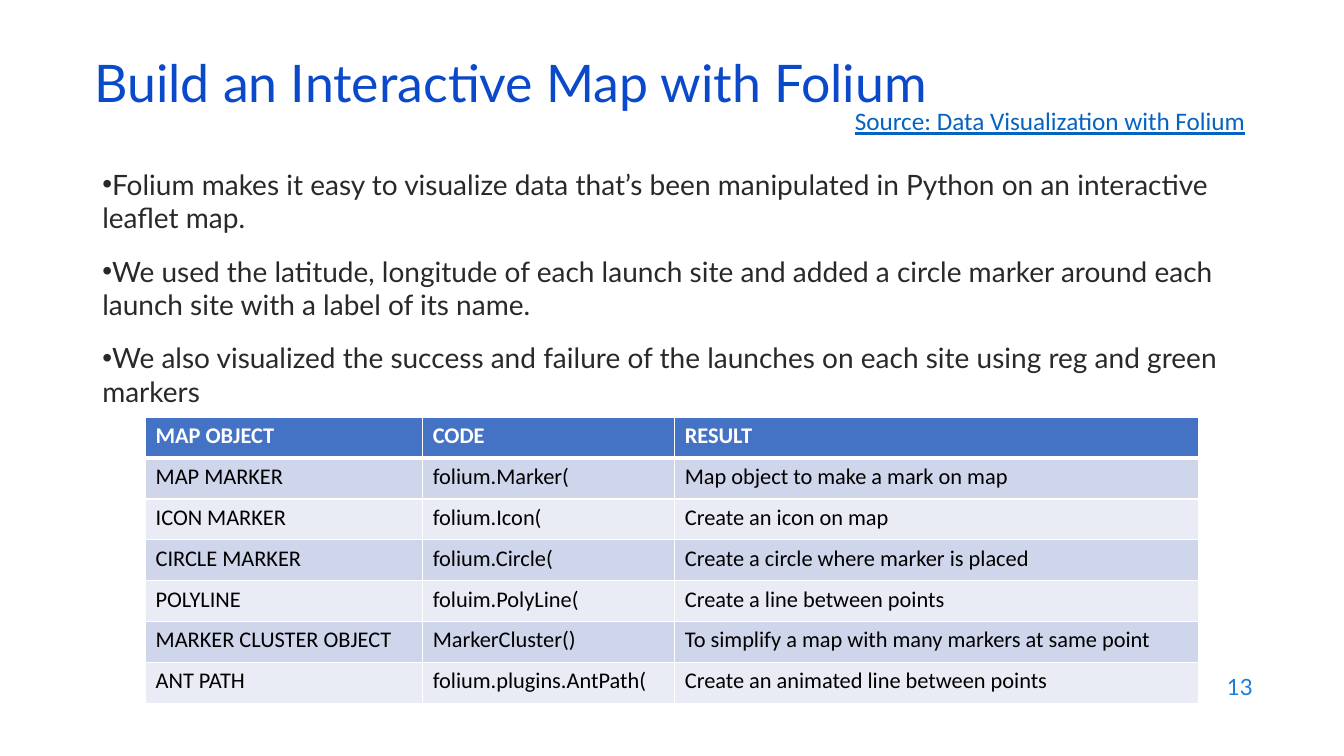
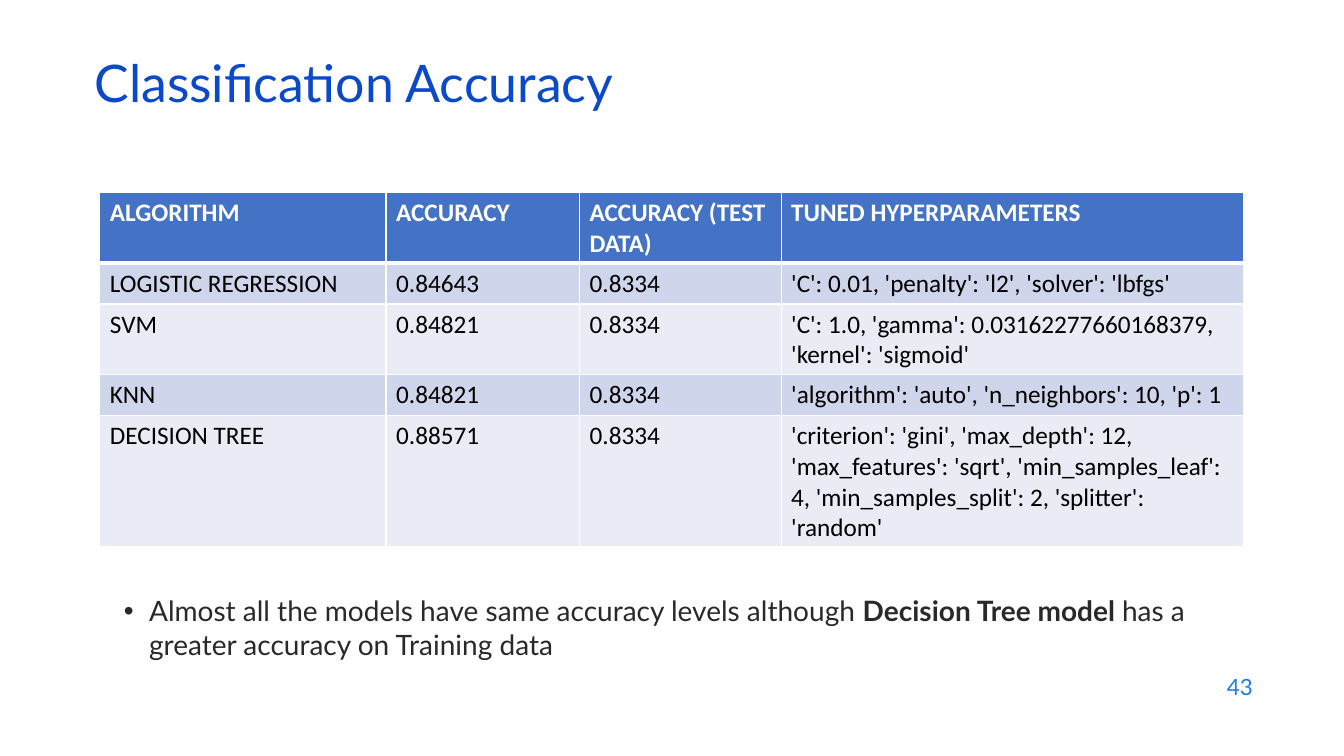
"""Build two slides about map objects and classification accuracy."""
from lxml.etree import SubElement
from pptx import Presentation
from pptx.dml.color import RGBColor as RGB
from pptx.enum.text import MSO_ANCHOR as ANCHOR, PP_ALIGN as ALIGN
from pptx.oxml.ns import qn
from pptx.util import Pt

COLORS = {
    "title": "0B49CB", "body": "292929", "link": "0563C1", "page": "1C7DDB",
    "header": "4472C4", "odd": "CFD5EA", "even": "E9EBF5",
    "white": "FFFFFF", "black": "000000",
}


def add_text(p, text, size=20, color="body", font="Lato", bold=False, underline=False):
    r = p.add_run()
    r.text = text
    r.font.size = Pt(size)
    r.font.name = font
    r.font.bold = bold
    r.font.underline = underline
    r.font.color.rgb = RGB.from_string(COLORS[color])


class Deck:
    def __init__(self):
        self.prs = Presentation()
        self.prs.slide_width, self.prs.slide_height = Pt(960), Pt(540)
        self.s = None

    def slide(self, title, number):
        self.s = self.prs.slides.add_slide(self.prs.slide_layouts[6])
        p = self.box(60.5, 42.5, 828, 43.2, ANCHOR.MIDDLE).paragraphs[0]
        p.line_spacing = 0.7
        add_text(p, title, size=37, color="title")
        p = self.box(686, 474.5, 216, 31.7, ANCHOR.MIDDLE).paragraphs[0]
        p.alignment = ALIGN.RIGHT
        add_text(p, str(number), size=16, color="page")

    def box(self, x, y, w, h, anchor=ANCHOR.TOP, wrap=True):
        tf = self.s.shapes.add_textbox(Pt(x), Pt(y), Pt(w), Pt(h)).text_frame
        tf.word_wrap = wrap
        tf.vertical_anchor = anchor
        return tf

    def label(self, text, x, y, w, h):
        p = self.box(x, y, w, h, wrap=False).paragraphs[0]
        add_text(p, text, size=18, color="link", font="Calibri", underline=True)

    def bullets(self, items, x, y, w, h, hang=0):
        tf = self.box(x, y, w, h)
        for i, runs in enumerate(items):
            p = tf.add_paragraph() if i else tf.paragraphs[0]
            pPr = p._p.get_or_add_pPr()
            pPr.set("marL", str(Pt(hang)))
            pPr.set("indent", str(-Pt(hang)))
            SubElement(pPr, qn("a:buFont"), typeface="Arial")
            SubElement(pPr, qn("a:buChar"), char="•")
            p.space_before = Pt(14 if i else 0)
            for text, bold in runs:
                add_text(p, text, bold=bold)

    def borders(self, cell, top, bottom):
        tcPr = cell._tc.get_or_add_tcPr()
        for side, width in (("L", 1), ("R", 1), ("T", top), ("B", bottom)):
            ln = SubElement(tcPr, qn(f"a:ln{side}"), w=str(Pt(width)))
            fill = SubElement(ln, qn("a:solidFill"))
            SubElement(fill, qn("a:srgbClr"), val=COLORS["white"])

    def table(self, rows, x, y, widths, size, row_height=29.2):
        frame = self.s.shapes.add_table(
            len(rows), len(widths), Pt(x), Pt(y), Pt(sum(widths)), Pt(row_height * len(rows)))
        table = frame.table
        for column, width in zip(table.columns, widths):
            column.width = Pt(width)
        for i, row in enumerate(rows):
            table.rows[i].height = Pt(row_height)
            fill = "header" if i == 0 else "odd" if i % 2 else "even"
            for j, text in enumerate(row):
                cell = table.cell(i, j)
                self.borders(cell, 3 if i == 1 else 1, 3 if i == 0 else 1)
                cell.fill.solid()
                cell.fill.fore_color.rgb = RGB.from_string(COLORS[fill])
                add_text(cell.text_frame.paragraphs[0], text, size=size, font="Calibri",
                         color="black" if i else "white", bold=i == 0)


def main():
    deck = Deck()

    deck.slide("Build an Interactive Map with Folium", 13)
    deck.bullets([
        [("Folium makes it easy to visualize data that’s been manipulated in Python "
          "on an interactive leaflet map.", False)],
        [("We used the latitude, longitude of each launch site and added a circle marker "
          "around each launch site with a label of its name.", False)],
        [("We also visualized the success and failure of the launches on each site "
          "using reg and green markers", False)],
    ], 66, 116, 828, 342.7)
    deck.table([
        ("MAP OBJECT", "CODE", "RESULT"),
        ("MAP MARKER", "folium.Marker(", "Map object to make a mark on map"),
        ("ICON MARKER", "folium.Icon(", "Create an icon on map"),
        ("CIRCLE MARKER", "folium.Circle(", "Create a circle where marker is placed"),
        ("POLYLINE", "foluim.PolyLine(", "Create a line between points"),
        ("MARKER CLUSTER OBJECT", "MarkerCluster()",
         "To simplify a map with many markers at same point"),
        ("ANT PATH", "folium.plugins.AntPath(", "Create an animated line between points"),
    ], 104, 298, (198, 180, 374.4), size=16)
    deck.label("Source: Data Visualization with Folium", 603.5, 72, 299, 29)

    deck.slide("Classification Accuracy", 43)
    deck.bullets([
        [("Almost all the models have same accuracy levels although ", False),
         ("Decision Tree model ", True),
         ("has a greater accuracy on Training data", False)],
    ], 81.4, 420.5, 807, 43.2, hang=18)
    deck.table([
        ("ALGORITHM", "ACCURACY", "ACCURACY (TEST DATA)", "TUNED HYPERPARAMETERS"),
        ("LOGISTIC REGRESSION", "0.84643", "0.8334",
         "'C': 0.01, 'penalty': 'l2', 'solver': 'lbfgs'"),
        ("SVM", "0.84821", "0.8334",
         "'C': 1.0, 'gamma': 0.03162277660168379, 'kernel': 'sigmoid'"),
        ("KNN", "0.84821", "0.8334", "'algorithm': 'auto', 'n_neighbors': 10, 'p': 1"),
        ("DECISION TREE", "0.88571", "0.8334",
         "'criterion': 'gini', 'max_depth': 12, 'max_features': 'sqrt', "
         "'min_samples_leaf': 4, 'min_samples_split': 2, 'splitter': 'random'"),
    ], 71.3, 137.5, (204.5, 138.2, 144, 330.5), size=18)

    deck.prs.save("out.pptx")


if __name__ == "__main__":
    main()
